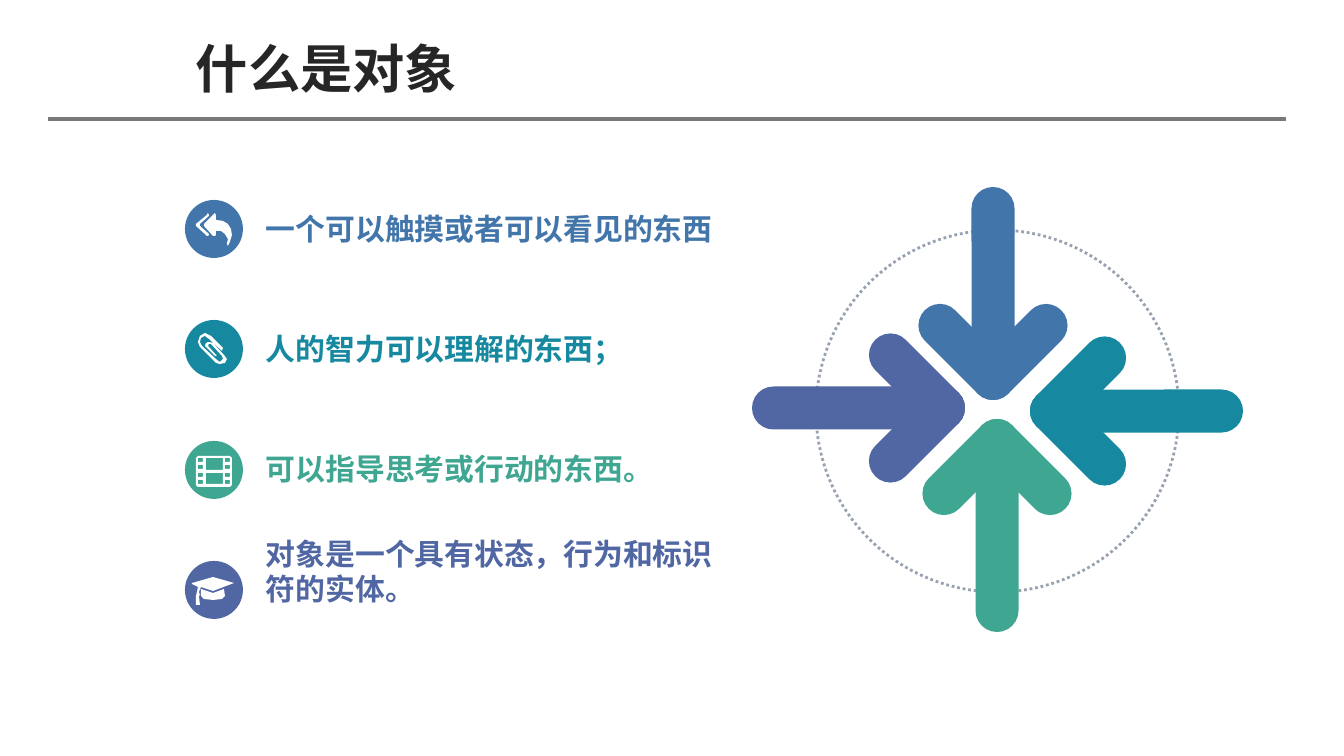
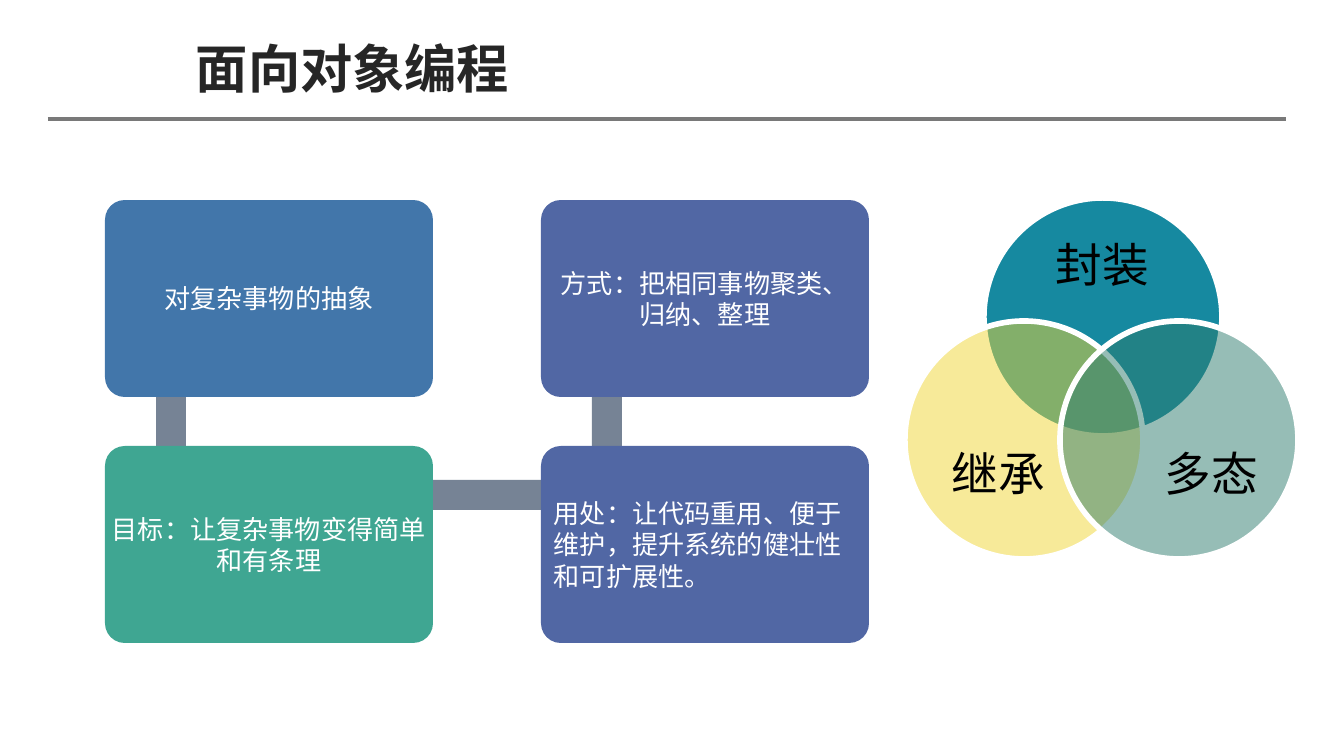
import math

from lxml import etree
from pptx import Presentation
from pptx import util as u
from pptx.dml.color import RGBColor
from pptx.enum import dml, shapes, text
from pptx.oxml.ns import qn

PX = 914400 / 134.4
FONT = "Noto Sans CJK SC"
BLUE, TEAL, GREEN, INDIGO = "4276AA", "1689A0", "3FA692", "5167A4"
WHITE, BLACK, INK = "FFFFFF", "000000", "262626"
RULE, RING, LINK = "797979", "98A2B0", "768395"
YELLOW, PINE = "F0D635", "2F7D6E"

TITLE = {"size": 28, "bold": True, "colour": INK}
POINT = {"size": 16, "bold": True}
CARD = {"size": 14, "bold": False, "colour": WHITE}
VENN = {"size": 25, "bold": False, "colour": BLACK}

OVAL = shapes.MSO_SHAPE.OVAL
ROUNDED = shapes.MSO_SHAPE.ROUNDED_RECTANGLE
RECTANGLE = shapes.MSO_SHAPE.RECTANGLE
LEFT, CENTRE = text.PP_ALIGN.LEFT, text.PP_ALIGN.CENTER

DISC = 58
BAR = 43


def rectangle_outline(left, top, right, bottom):
    return [(left, top), (right, top), (right, bottom), (left, bottom)]


# Icon outlines, measured from the top left corner of their disc
REPLY = [
    [(24, 35), (23, 36), (22, 36), (11, 26), (11, 24), (22, 15), (23, 13),
     (24, 15), (24, 16), (15, 24), (15, 26), (24, 34)],
    [(43, 46), (42, 44), (43, 39), (40, 34), (36, 31), (31, 31), (31, 35),
     (30, 36), (28, 36), (19, 26), (19, 24), (28, 15), (30, 13), (31, 15),
     (31, 20), (38, 21), (43, 24), (46, 29), (47, 35), (45, 42)],
]
PAPERCLIP = [
    [(35, 44), (31, 43), (15, 27), (13, 22), (15, 16), (20, 13), (26, 16),
     (38, 28), (37, 31), (36, 30), (24, 19), (20, 16), (16, 18), (15, 22),
     (17, 26), (32, 40), (35, 42), (38, 39), (37, 36), (26, 24), (24, 24),
     (23, 26), (24, 27), (31, 35), (32, 35), (31, 36), (30, 36), (22, 28),
     (20, 26), (21, 23), (24, 22), (28, 23), (39, 35), (42, 39), (40, 43)],
]
FILM = [
    [(13, 15), (45, 15), (47, 17), (47, 44), (45, 46), (13, 46), (11, 44),
     (11, 17)],
    rectangle_outline(21, 17, 38, 29),
    rectangle_outline(21, 32, 38, 43),
] + [
    rectangle_outline(left, top, left + 5, top + 4)
    for left in (13, 40) for top in (17, 24, 32, 39)
]
GRADUATION_CAP = [
    [(28, 16), (49, 22), (28, 30), (16, 26), (14, 31), (15, 34), (14, 35),
     (15, 44), (11, 44), (11, 35), (12, 31), (13, 26), (7, 23), (7, 22)],
    [(40, 35), (37, 38), (28, 39), (19, 38), (16, 35), (16, 28), (28, 32),
     (39, 28)],
]


def px(length):
    return u.Emu(round(length * PX))


def colour(value):
    return RGBColor.from_string(value)


def write(frame, lines, style, align=LEFT, **settings):
    """Fill a text frame; settings are attributes of the frame."""
    for name, value in settings.items():
        setattr(frame, name, value)
    for index, line in enumerate(lines):
        para = frame.add_paragraph() if index else frame.paragraphs[0]
        para.alignment = align
        para.line_spacing = style.get("spacing")
        span = para.add_run()
        span.text = line
        span.font.color.rgb = colour(style["colour"])
        values = {"name": FONT, "size": u.Pt(style["size"]), "bold": style["bold"]}
        for name, value in values.items():
            setattr(span.font, name, value)
        properties = span._r.get_or_add_rPr()
        etree.SubElement(properties, qn("a:ea")).set("typeface", FONT)


def margins(side, end=0):
    return {"margin_left": px(side), "margin_right": px(side),
            "margin_top": px(end), "margin_bottom": px(end)}


def paint(shape, fill):
    """Give a shape a plain fill, with no line and no shadow."""
    shape.shadow.inherit = False
    shape.line.fill.background()
    if fill:
        shape.fill.solid()
        shape.fill.fore_color.rgb = colour(fill)
    else:
        shape.fill.background()
    return shape


def add_preset(page, kind, box, fill):
    return paint(page.shapes.add_shape(kind, *map(px, box)), fill)


def outline(shape, value, width):
    shape.line.color.rgb = colour(value)
    shape.line.width = u.Pt(width)


def add_bar(page, kind, centre, length, thickness, angle, fill):
    x, y = centre
    box = (x - length / 2, y - thickness / 2, length, thickness)
    bar = add_preset(page, kind, box, fill)
    bar.rotation = angle % 360
    return bar


def add_arrow(page, tip, angle, fill):
    """Build an arrow of three round-ended bars that meet at the tip."""
    for turn, length in ((0, 213), (45, 118), (-45, 118)):
        shaft, slant = math.radians(angle), math.radians(angle + turn)
        reach = length / 2 - BAR / 2
        centre = [
            end - BAR / 2 * wave(shaft) - reach * wave(slant)
            for end, wave in zip(tip, (math.cos, math.sin))
        ]
        bar = add_bar(page, ROUNDED, centre, length, BAR, angle + turn, fill)
        bar.adjustments[0] = 0.5


def add_icon(page, left, top, contours):
    builder = page.shapes.build_freeform(*contours[0][0], scale=PX)
    for index, contour in enumerate(contours):
        if index:
            builder.move_to(*contour[0])
        builder.add_line_segments(contour[1:], close=True)
    paint(builder.convert_to_shape(px(left), px(top)), WHITE)


def add_point(page, top, line, fill, contours):
    left = 185
    add_preset(page, OVAL, (left, top, DISC, DISC), fill)
    add_icon(page, left, top, contours)
    box = page.shapes.add_textbox(px(245), px(top + 11), px(499), px(35))
    write(box.text_frame, [line], POINT | {"colour": fill}, word_wrap=False,
          vertical_anchor=text.MSO_ANCHOR.BOTTOM, **margins(21))


def add_card(page, left, top, lines, fill, align=CENTRE, wrap=True):
    card = add_preset(page, ROUNDED, (left, top, 328, 197), fill)
    card.adjustments[0] = 0.1
    write(card.text_frame, lines, CARD, align, word_wrap=wrap,
          vertical_anchor=text.MSO_ANCHOR.MIDDLE, **margins(7, 7))


def add_venn_circle(page, left, top, fill, label, label_box, opacity):
    circle = add_preset(page, OVAL, (left, top, 238, 238), fill)
    outline(circle, WHITE, 3)
    if opacity < 100:
        tint = circle.element.spPr.find(qn("a:solidFill"))[0]
        etree.SubElement(tint, qn("a:alpha")).set("val", str(opacity * 1000))
    box = page.shapes.add_textbox(*map(px, label_box))
    write(box.text_frame, [label], VENN | {"spacing": 0.9}, CENTRE,
          word_wrap=True, vertical_anchor=text.MSO_ANCHOR.MIDDLE, **margins(0))


def add_page(deck, title):
    page = deck.slides.add_slide(deck.slide_layouts[5])
    holder = page.shapes.title
    frame = {"left": 47, "top": 31, "width": 1238, "height": 73}
    for name, value in frame.items():
        setattr(holder, name, px(value))
    write(holder.text_frame, [title], TITLE, margin_left=px(149),
          vertical_anchor=text.MSO_ANCHOR.MIDDLE)
    return page


def add_shared_rule(page):
    """Put the line under the title on the layout that all pages use."""
    rule = page.shapes.add_connector(
        shapes.MSO_CONNECTOR.STRAIGHT, px(48), px(119), px(1286), px(119))
    outline(rule, RULE, 2.25)
    etree.SubElement(rule.element.spPr, qn("a:effectLst"))
    page.slide_layout.shapes.element.append(rule.element)


def build_object_page(deck):
    page = add_page(deck, "什么是对象")
    add_shared_rule(page)

    ring = add_preset(page, OVAL, (816, 230, 363, 362), None)
    outline(ring, RING, 1.5)
    ring.line.dash_style = dml.MSO_LINE.ROUND_DOT
    arrows = [
        ((993, 400), 90, BLUE),
        ((1030, 411), 180, TEAL),
        ((965, 408), 0, INDIGO),
        ((997, 419), 270, GREEN),
    ]
    for arrow in arrows:
        add_arrow(page, *arrow)

    points = [
        ("一个可以触摸或者可以看见的东西", BLUE, REPLY),
        ("人的智力可以理解的东西；", TEAL, PAPERCLIP),
        ("可以指导思考或行动的东西。", GREEN, FILM),
        ("对象是一个具有状态，行为和标识符的实体。", INDIGO, GRADUATION_CAP),
    ]
    for index, point in enumerate(points):
        add_point(page, 200 + 241 * index // 2, *point)


def build_programming_page(deck):
    page = add_page(deck, "面向对象编程")

    venn = [
        (984, 198, TEAL, "封装", (1011, 230, 183, 75), 100),
        (905, 321, YELLOW, "继承", (907, 439, 183, 75), 50),
        (1060, 321, PINE, "多态", (1120, 449, 183, 54), 50),
    ]
    for circle in venn:
        add_venn_circle(page, *circle)

    links = [((171, 373), 243, 90), ((389, 495), 434, 0), ((607, 373), 243, 270)]
    for centre, length, angle in links:
        add_bar(page, RECTANGLE, centre, length, 30, angle, LINK)

    left, right, upper, lower = 105, 541, 200, 446
    add_card(page, left, upper, ["对复杂事物的抽象"], BLUE, wrap=False)
    add_card(page, left, lower, ["目标：让复杂事物变得简单", "和有条理"], GREEN,
             wrap=False)
    add_card(page, right, lower,
             ["用处：让代码重用、便于维护，提升系统的健壮性和可扩展性。"], INDIGO, LEFT)
    add_card(page, right, upper, ["方式：把相同事物聚类、归纳、整理"], INDIGO)


def main():
    deck = Presentation()
    deck.slide_width, deck.slide_height = px(1344), px(756)
    build_object_page(deck)
    build_programming_page(deck)
    deck.save("out.pptx")


if __name__ == "__main__":
    main()
